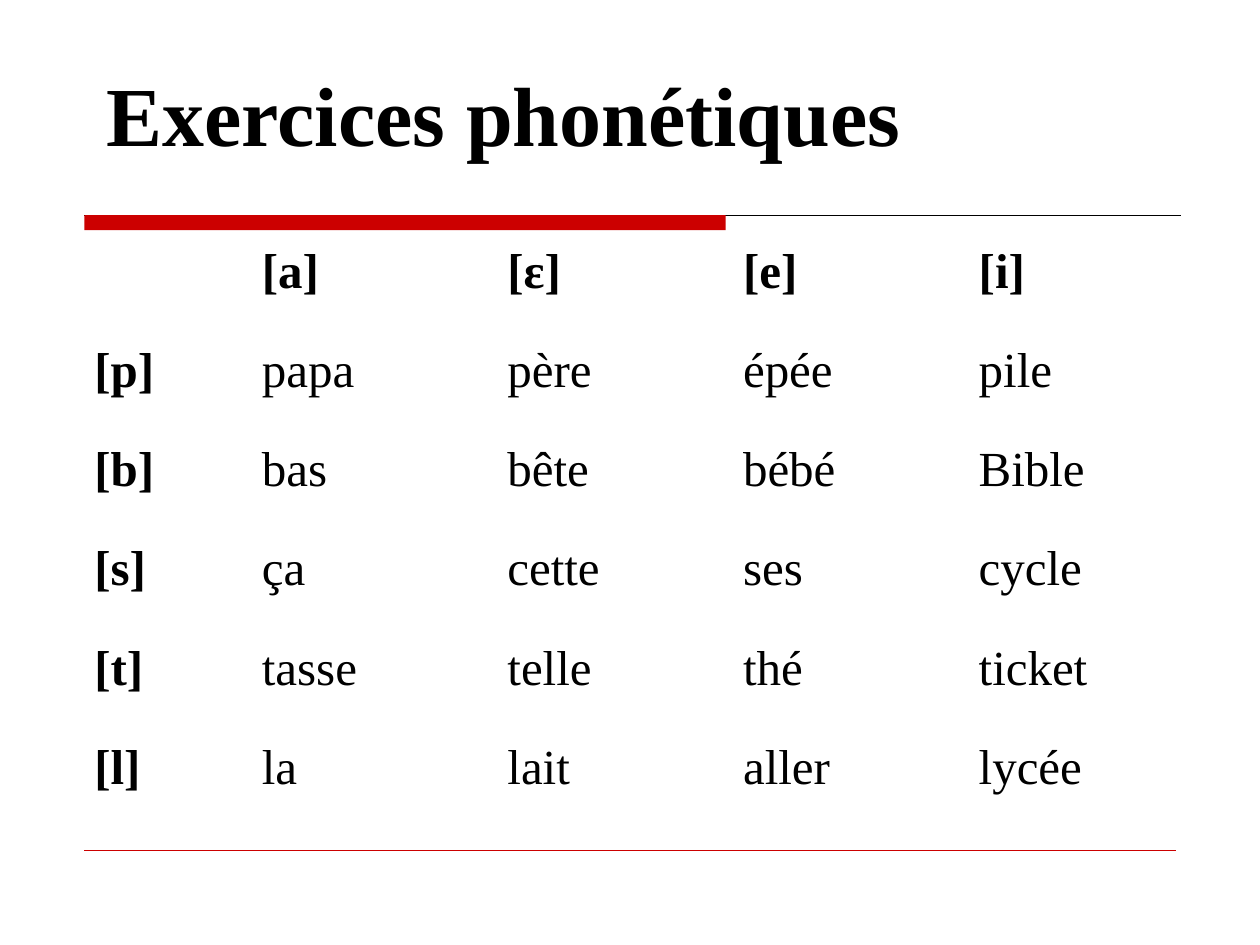
from dataclasses import dataclass

from lxml.etree import SubElement
from pptx import Presentation
from pptx.dml.color import RGBColor
from pptx.enum.shapes import MSO_CONNECTOR, MSO_SHAPE
from pptx.enum.text import MSO_ANCHOR, MSO_AUTO_SIZE, PP_ALIGN
from pptx.oxml.ns import qn
from pptx.util import Cm, Pt


@dataclass(frozen=True)
class Theme:
    font: str = "Times New Roman"
    ink: RGBColor = RGBColor(0, 0, 0)
    accent: RGBColor = RGBColor(0xCC, 0, 0)
    title_size: int = 48
    table_size: int = 28


THEME = Theme()
LEFT = Cm(1.7)
RULE_TOP = Cm(4.34)
COLUMN_WIDTHS = [3.38, 4.95, 4.75, 4.75, 4.75]
ROW_HEIGHT = Cm(2)
SOUNDS = [
    ["", "[a]", "[ε]", "[e]", "[i]"],
    ["[p]", "papa", "père", "épée", "pile"],
    ["[b]", "bas", "bête", "bébé", "Bible"],
    ["[s]", "ça", "cette", "ses", "cycle"],
    ["[t]", "tasse", "telle", "thé", "ticket"],
    ["[l]", "la", "lait", "aller", "lycée"],
]


def write_text(frame, text, size, bold=False, align=PP_ALIGN.LEFT):
    para = frame.paragraphs[0]
    para.alignment = align
    span = para.add_run()
    span.text = text
    span.font.name = THEME.font
    span.font.size = Pt(size)
    span.font.bold = bold
    span.font.color.rgb = THEME.ink


def add_title(page, text):
    title = page.shapes.title
    title.left, title.top = Cm(1.9), Cm(1.12)
    title.width, title.height = Cm(19.81), Cm(2.31)
    title.text_frame.auto_size = MSO_AUTO_SIZE.SHAPE_TO_FIT_TEXT
    write_text(title.text_frame, text, THEME.title_size, bold=True)


def add_rule(page, right, top, color, weight):
    rule = page.shapes.add_connector(MSO_CONNECTOR.STRAIGHT, LEFT, top, right, top)
    rule.line.color.rgb = color
    rule.line.width = Pt(weight)
    SubElement(rule._element.spPr, qn("a:effectLst"))


def add_bar(page, width, height):
    bar = page.shapes.add_shape(MSO_SHAPE.RECTANGLE, LEFT, RULE_TOP, width, height)
    bar.shadow.inherit = False
    bar.fill.solid()
    bar.fill.fore_color.rgb = THEME.accent
    bar.line.fill.background()


def add_sound_table(page, rows):
    width = Cm(sum(COLUMN_WIDTHS))
    table = page.shapes.add_table(
        len(rows), len(COLUMN_WIDTHS), LEFT, Cm(4.93), width, ROW_HEIGHT * len(rows)
    ).table
    table.first_row = False
    table.horz_banding = False
    for column, column_width in zip(table.columns, COLUMN_WIDTHS):
        column.width = Cm(column_width)
    for row_index, words in enumerate(rows):
        for column_index, word in enumerate(words):
            cell = table.cell(row_index, column_index)
            cell.fill.background()
            cell.margin_left = cell.margin_right = Cm(0.2)
            cell.margin_top = cell.margin_bottom = 0
            cell.vertical_anchor = MSO_ANCHOR.TOP
            if word:
                is_header = row_index == 0 or column_index == 0
                write_text(cell.text_frame, word, THEME.table_size,
                           bold=is_header, align=PP_ALIGN.JUSTIFY)


def main():
    deck = Presentation()
    deck.slide_width, deck.slide_height = Cm(25.4), Cm(19.05)
    page = deck.slides.add_slide(deck.slide_layouts[5])
    add_rule(page, Cm(23.8), RULE_TOP, THEME.ink, 0.75)
    add_bar(page, Cm(12.93), Cm(0.3))
    add_rule(page, Cm(23.7), Cm(17.15), THEME.accent, 0.25)
    add_title(page, "Exercices phonétiques")
    add_sound_table(page, SOUNDS)
    deck.save("out.pptx")


if __name__ == "__main__":
    main()
